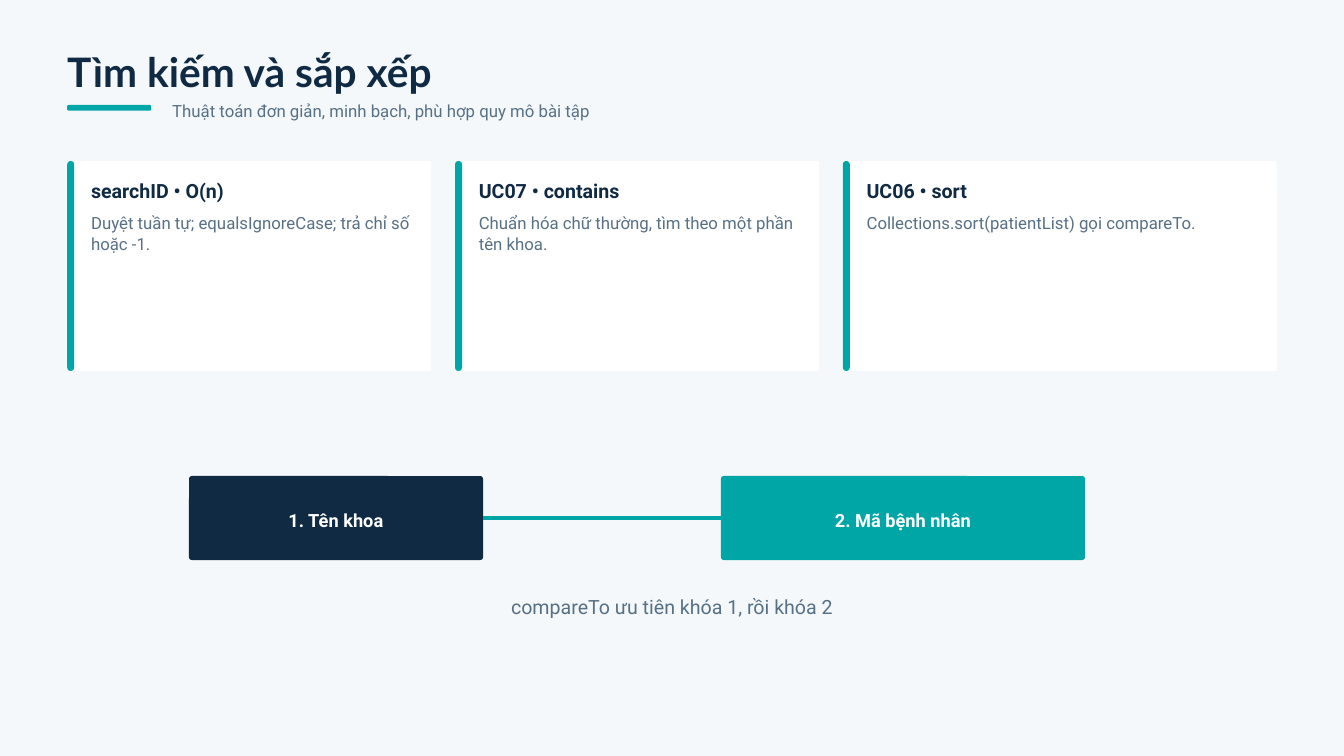
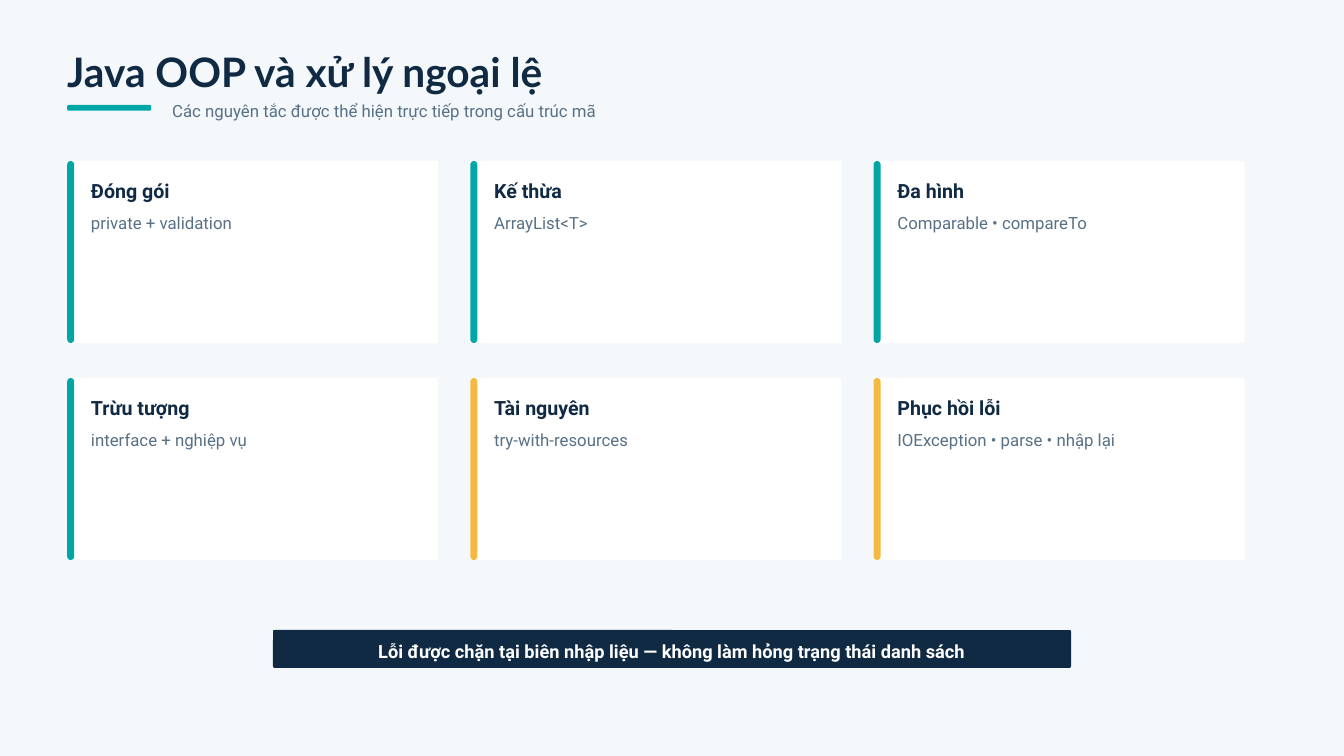
import dataclasses
import typing

import lxml.etree
import pptx
import pptx.dml.color
import pptx.enum.shapes
import pptx.enum.text
import pptx.oxml.ns
import pptx.shapes.autoshape
import pptx.shapes.shapetree
import pptx.slide
import pptx.text.text
import pptx.util

EMU_PER_PX = 9525
TITLE_ONLY = 5
NAVY, TEAL, AMBER = "102A43", "00A6A6", "F4B942"
SLATE, WHITE, MIST = "587086", "FFFFFF", "F4F8FA"
HEADING_FONT, BODY_FONT = "Lato", "Roboto"
LEFT, CARDS_TOP = 96, 230
ACCENT_WIDTH = 10
CARD_PADDING = 34
CARD_SPARE_WIDTH = 64

ALIGN = pptx.enum.text.PP_ALIGN
ANCHOR = pptx.enum.text.MSO_ANCHOR
Shapes = typing.Union[
    pptx.shapes.shapetree.SlideShapes, pptx.shapes.shapetree.GroupShapes
]


class Box(typing.NamedTuple):
    left: int
    top: int
    width: int
    height: int


@dataclasses.dataclass(frozen=True)
class Card:
    heading: str
    body: str
    accent: str = TEAL


def px(length: int) -> int:
    return pptx.util.Emu(length * EMU_PER_PX)


def rgb(color: str) -> pptx.dml.color.RGBColor:
    return pptx.dml.color.RGBColor.from_string(color)


def write(
    frame: pptx.text.text.TextFrame,
    text: str,
    *,
    size: float = 18,
    leading: float = 22.5,
    color: str = SLATE,
    font: str = BODY_FONT,
    bold: bool = False,
    align: ALIGN = ALIGN.LEFT,
    anchor: ANCHOR = ANCHOR.TOP,
    margin: int = 0,
) -> None:
    frame.word_wrap = True
    frame.auto_size = pptx.enum.text.MSO_AUTO_SIZE.NONE
    frame.vertical_anchor = anchor
    frame.margin_left = frame.margin_right = px(margin)
    frame.margin_top = frame.margin_bottom = px(margin)
    frame.text = text
    paragraph = frame.paragraphs[0]
    paragraph.alignment = align
    paragraph.line_spacing = pptx.util.Pt(leading)
    paragraph.space_before = pptx.util.Pt(0)
    paragraph.font.name = font
    paragraph.font.size = pptx.util.Pt(size)
    paragraph.font.bold = bold
    paragraph.font.color.rgb = rgb(color)


def add_text(shapes: Shapes, box: Box, text: str, **text_format: typing.Any) -> None:
    write(shapes.add_textbox(*map(px, box)).text_frame, text, **text_format)


def add_panel(
    shapes: Shapes, box: Box, color: str, radius: int
) -> pptx.shapes.autoshape.Shape:
    """Add a filled rectangle whose corners have the given radius in px."""
    panel = shapes.add_shape(
        pptx.enum.shapes.MSO_SHAPE.ROUNDED_RECTANGLE, *map(px, box)
    )
    panel.adjustments[0] = radius / min(box.width, box.height)
    panel.shadow.inherit = False
    panel.fill.solid()
    panel.fill.fore_color.rgb = rgb(color)
    panel.line.fill.background()
    return panel


def add_label(
    slide: pptx.slide.Slide, box: Box, text: str, color: str, radius: int = 4
) -> pptx.shapes.autoshape.Shape:
    """Add a panel with centred white text."""
    label = add_panel(slide.shapes, box, color, radius)
    write(label.text_frame, text, size=19.5, leading=27.3, color=WHITE, bold=True,
          align=ALIGN.CENTER, anchor=ANCHOR.MIDDLE, margin=6)
    return label


def add_card(slide: pptx.slide.Slide, box: Box, card: Card) -> None:
    shapes = slide.shapes.add_group_shape().shapes
    add_panel(shapes, box, WHITE, 3)
    add_panel(shapes, box._replace(width=ACCENT_WIDTH), card.accent, ACCENT_WIDTH // 2)
    text_left = box.left + CARD_PADDING
    text_width = box.width - CARD_SPARE_WIDTH
    add_text(shapes, Box(text_left, box.top + 24, text_width, 36), card.heading,
             size=21, leading=26.2, color=NAVY, bold=True)
    add_text(shapes, Box(text_left, box.top + 72, text_width, 60), card.body)


def add_headed_slide(
    deck: pptx.presentation.Presentation, title: str, subtitle: str
) -> pptx.slide.Slide:
    slide = deck.slides.add_slide(deck.slide_layouts[TITLE_ONLY])
    heading = slide.shapes.title
    heading.left, heading.top, heading.width, heading.height = map(
        px, Box(LEFT, 64, 1500, 71)
    )
    write(heading.text_frame, title, size=43.5, leading=54.4, color=NAVY,
          font=HEADING_FONT, bold=True)
    add_panel(slide.shapes, Box(LEFT, 150, 120, 8), TEAL, 2)
    add_text(slide.shapes, Box(246, 142, 1500, 30), subtitle)
    return slide


def join(
    slide: pptx.slide.Slide,
    first: pptx.shapes.autoshape.Shape,
    second: pptx.shapes.autoshape.Shape,
) -> None:
    """Draw a line from the right side of first to the left side of second."""
    link = slide.shapes.add_connector(
        pptx.enum.shapes.MSO_CONNECTOR.STRAIGHT, 0, 0, 0, 0
    )
    link.begin_connect(first, 3)
    link.end_connect(second, 1)
    link.line.color.rgb = rgb(TEAL)
    link.line.width = pptx.util.Pt(3.75)
    lxml.etree.SubElement(link._element.spPr, pptx.oxml.ns.qn("a:effectLst"))


def build_search_slide(deck: pptx.presentation.Presentation) -> None:
    slide = add_headed_slide(
        deck,
        "Tìm kiếm và sắp xếp",
        "Thuật toán đơn giản, minh bạch, phù hợp quy mô bài tập",
    )
    algorithms = [
        (520, Card("searchID • O(n)",
                   "Duyệt tuần tự; equalsIgnoreCase; trả chỉ số hoặc -1.")),
        (520, Card("UC07 • contains",
                   "Chuẩn hóa chữ thường, tìm theo một phần tên khoa.")),
        (620, Card("UC06 • sort", "Collections.sort(patientList) gọi compareTo.")),
    ]
    left, gap = LEFT, 34
    for width, card in algorithms:
        add_card(slide, Box(left, CARDS_TOP, width, 300), card)
        left += width + gap

    department = add_label(slide, Box(270, 680, 420, 120), "1. Tên khoa", NAVY)
    patient_id = add_label(slide, Box(1030, 680, 520, 120), "2. Mã bệnh nhân", TEAL)
    join(slide, department, patient_id)
    add_text(slide.shapes, Box(600, 848, 720, 36),
             "compareTo ưu tiên khóa 1, rồi khóa 2",
             size=21, leading=26.2, align=ALIGN.CENTER)


def build_oop_slide(deck: pptx.presentation.Presentation) -> None:
    slide = add_headed_slide(
        deck,
        "Java OOP và xử lý ngoại lệ",
        "Các nguyên tắc được thể hiện trực tiếp trong cấu trúc mã",
    )
    principles = [
        Card("Đóng gói", "private + validation"),
        Card("Kế thừa", "ArrayList<T>"),
        Card("Đa hình", "Comparable • compareTo"),
        Card("Trừu tượng", "interface + nghiệp vụ"),
        Card("Tài nguyên", "try-with-resources", AMBER),
        Card("Phục hồi lỗi", "IOException • parse • nhập lại", AMBER),
    ]
    columns, column_step, row_step = 3, 576, 310
    for index, card in enumerate(principles):
        row, column = divmod(index, columns)
        box = Box(LEFT + column * column_step, CARDS_TOP + row * row_step, 530, 260)
        add_card(slide, box, card)
    add_label(slide, Box(390, 900, 1140, 54),
              "Lỗi được chặn tại biên nhập liệu — không làm hỏng trạng thái danh sách",
              NAVY, radius=2)


def main() -> None:
    deck = pptx.Presentation()
    deck.slide_width, deck.slide_height = px(1920), px(1080)
    backdrop = deck.slide_master.background.fill
    backdrop.solid()
    backdrop.fore_color.rgb = rgb(MIST)
    build_search_slide(deck)
    build_oop_slide(deck)
    deck.save("out.pptx")


if __name__ == "__main__":
    main()
